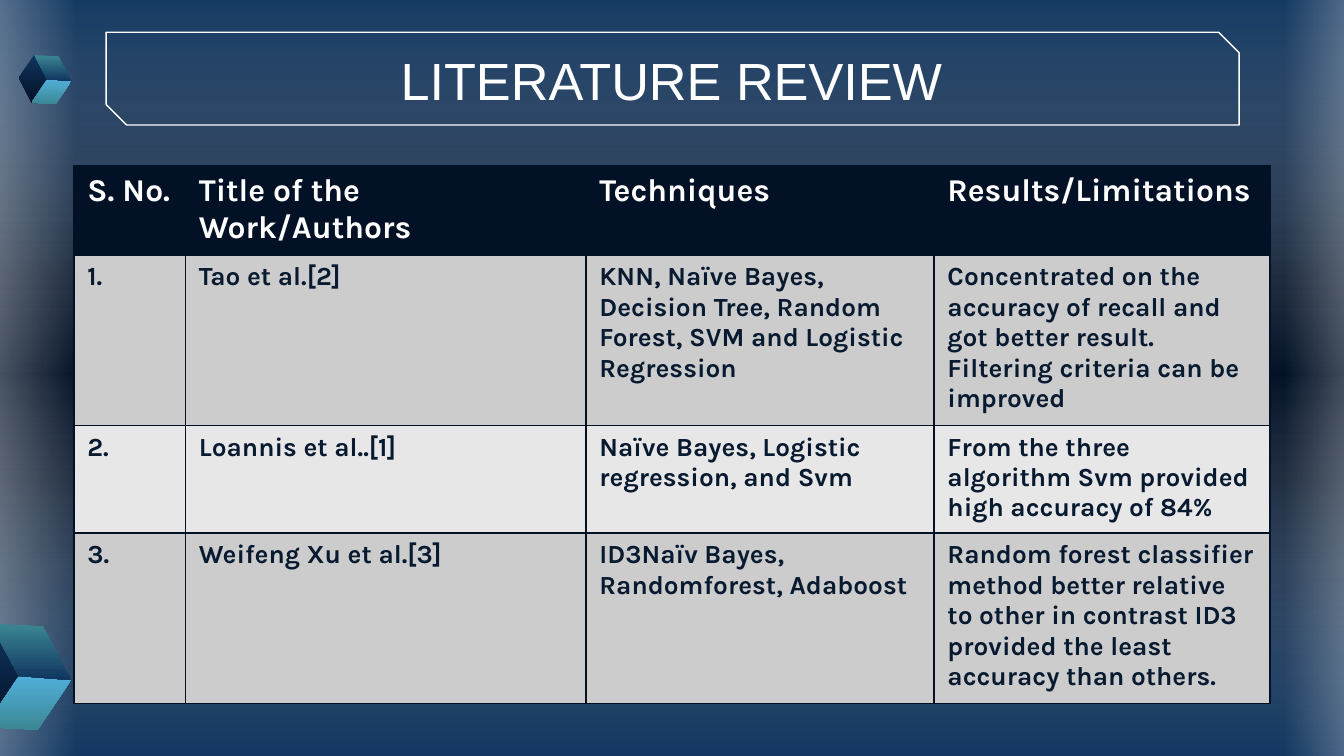
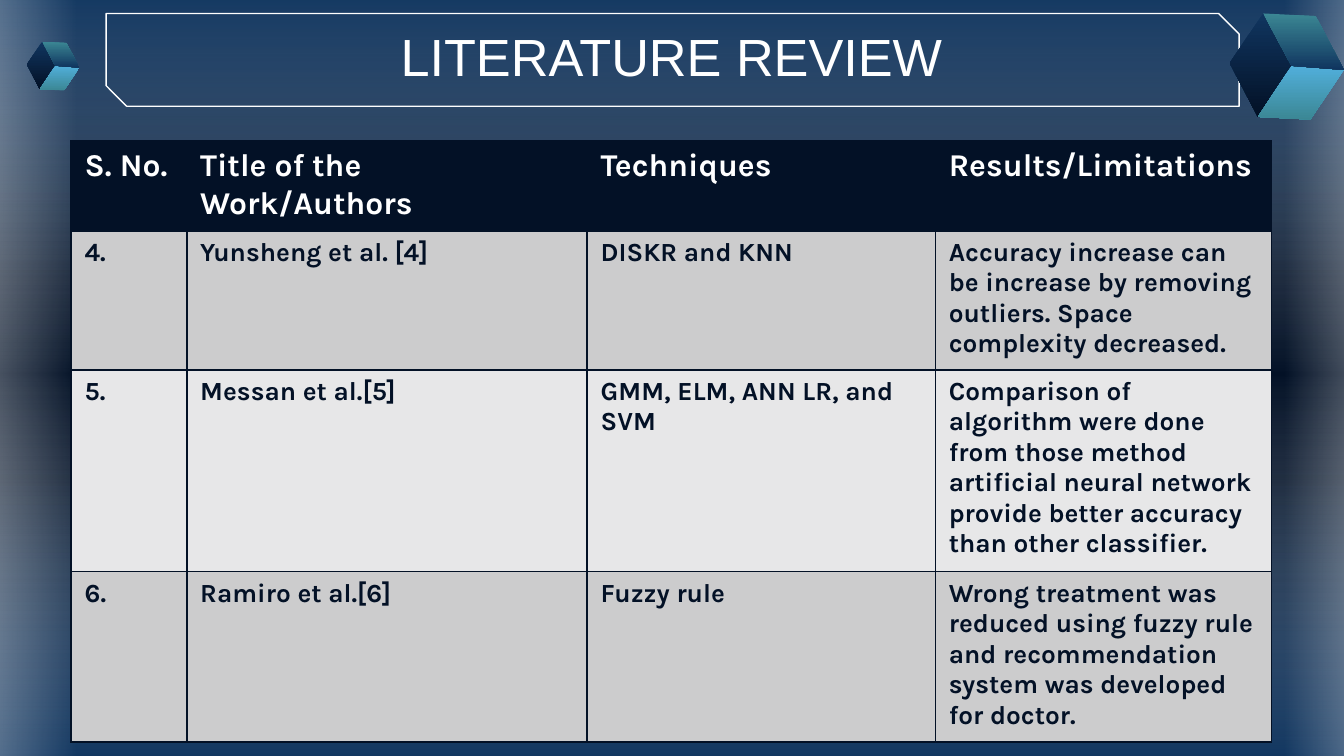
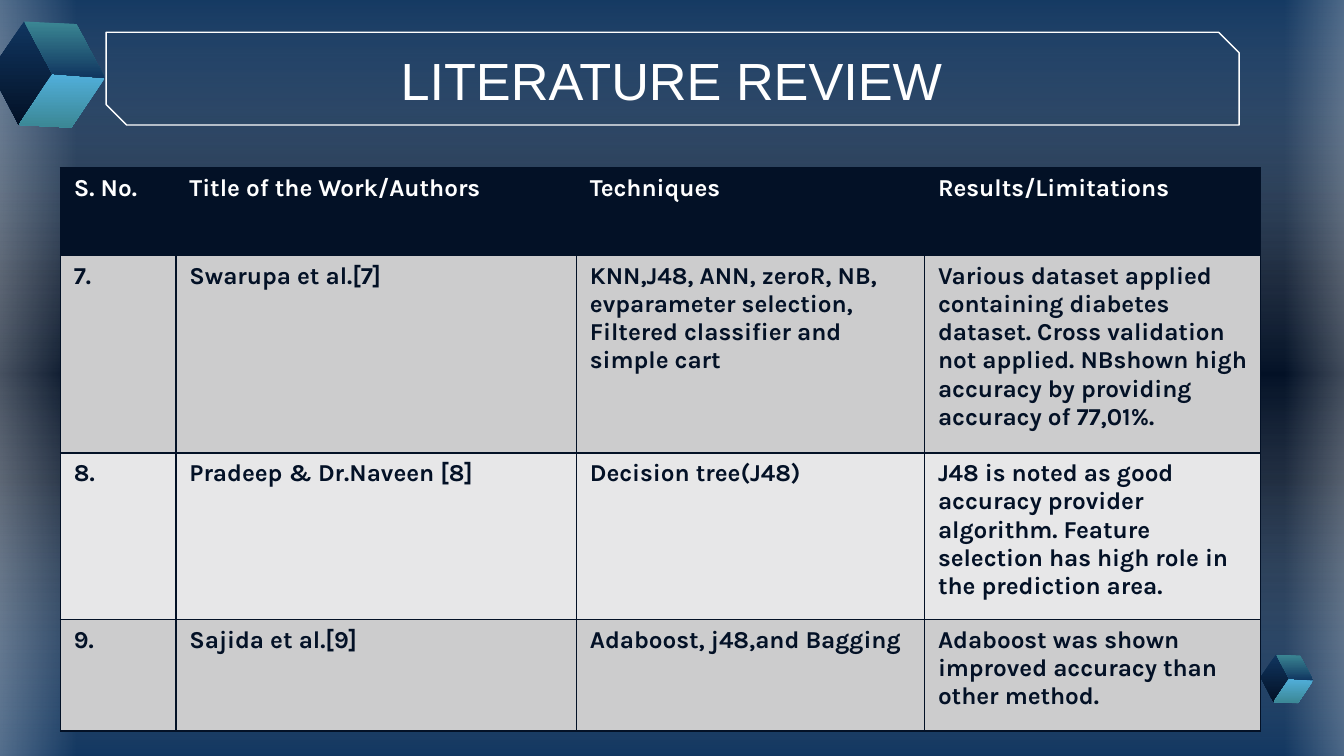
from lxml.etree import SubElement
from pptx import Presentation
from pptx.dml.color import RGBColor
from pptx.enum.shapes import MSO_SHAPE
from pptx.enum.text import MSO_ANCHOR, PP_ALIGN
from pptx.oxml import parse_xml
from pptx.oxml.ns import nsdecls, qn
from pptx.util import Inches, Pt

NAVY, BLUE, SKY, TEAL, WHITE = "031126", "10355F", "51AFDB", "3B8794", "FFFFFF"
ROW_FILLS = [NAVY, "CCCCCD", "E7E7E8", "CCCCCD"]
HEADER = ["S. No.", "Title of the Work/Authors", "Techniques", "Results/Limitations"]

# Translucent glows: left, top, width, height, rotation, (position, colour, opacity)
EDGE_GLOW = [(0, WHITE, 47), (100, WHITE, 0)]
GLOWS = [
    (2.2, -2.33, 5.81, 10.21, 270, [(0, BLUE, 59), (50, WHITE, 0), (100, BLUE, 59)]),
    (-0.41, -0.09, 0.98, 5.8, 180, EDGE_GLOW),
    (9.56, -0.13, 0.85, 5.8, 0, EDGE_GLOW),
]

# Cube faces at full size: top colour, bottom colour, corners
CUBE_FACES = [
    (BLUE, NAVY, [(0.25, 0), (0, 0.37), (0.21, 0.77), (0.46, 0.39)]),
    (SKY, TEAL, [(0.46, 0.39), (0.85, 0.42), (0.6, 0.79), (0.21, 0.77)]),
    (TEAL, BLUE, [(0.25, 0), (0.64, 0.02), (0.85, 0.42), (0.46, 0.39)]),
]
LARGE, SMALL = 1, 0.46

PAGES = [
    {
        "frame_top": 0.24, "title_top": 0.28, "table": (0.55, 1.23), "number_width": 0.83,
        "heights": [0.49, 0.69, 0.53, 0.84], "sizes": (17, 14), "ink": "081A30",
        "cubes": [(-0.32, 4.64, LARGE), (0.14, 0.41, SMALL)],
        "rows": [
            ["1.", "Tao et al.[2]",
             "KNN, Naïve Bayes, Decision Tree, Random Forest, SVM and Logistic Regression",
             "Concentrated on the accuracy of recall and got better result. "
             "Filtering criteria can be improved"],
            ["2.", "Loannis et al..[1]", "Naïve Bayes, Logistic regression, and Svm",
             "From the three algorithm Svm provided high accuracy of 84%"],
            ["3.", "Weifeng Xu et al.[3]", "ID3Naïv Bayes, Randomforest, Adaboost",
             "Random forest classifier method better relative to other in contrast ID3 "
             "provided the least accuracy than others."],
        ],
    },
    {
        "frame_top": 0.1, "title_top": 0.1, "table": (0.53, 1.05), "number_width": 0.86,
        "heights": [0.62, 0.96, 1.4, 1.18], "sizes": (17, 14), "ink": NAVY,
        "cubes": [(9.15, 0.1, LARGE), (0.2, 0.31, SMALL)],
        "rows": [
            ["4.", "Yunsheng et al. [4]", "DISKR and KNN",
             "Accuracy increase can be increase by removing outliers. "
             "Space complexity decreased."],
            ["5.", "Messan et al.[5]", "GMM, ELM, ANN LR, and SVM",
             "Comparison of algorithm were done from those method artificial neural "
             "network provide better accuracy than other classifier."],
            ["6.", "Ramiro et al.[6]", "Fuzzy rule",
             "Wrong treatment was reduced using fuzzy rule and recommendation system "
             "was developed for doctor."],
        ],
    },
    {
        "frame_top": 0.24, "title_top": 0.28, "table": (0.45, 1.25), "number_width": 0.86,
        "heights": [0.65, 1.47, 1.24, 0.83], "sizes": (13, 13), "ink": NAVY,
        "cubes": [(-0.07, 0.16, LARGE), (9.38, 4.87, SMALL)],
        "rows": [
            ["7.", "Swarupa et al.[7]",
             "KNN,J48, ANN, zeroR, NB, evparameter selection, Filtered classifier and simple cart",
             "Various dataset applied containing diabetes dataset. Cross validation not "
             "applied. NBshown high accuracy by providing accuracy of 77,01%."],
            ["8.", "Pradeep & Dr.Naveen [8]", "Decision tree(J48)",
             "J48 is noted as good accuracy provider algorithm. Feature selection has "
             "high role in the prediction area."],
            ["9.", "Sajida et al.[9]", "Adaboost, j48,and Bagging",
             "Adaboost was shown improved accuracy than other method."],
        ],
    },
]


def color(value):
    return RGBColor.from_string(value)


def fill_gradient(fill, element, stops, angle):
    """Fill with (position, colour, opacity) stops, all but the angle in percent."""
    fill.background()
    empty = element.find(".//" + qn("a:noFill"))
    gradient = parse_xml(f'<a:gradFill {nsdecls("a")} rotWithShape="1"><a:gsLst/>'
                         f'<a:lin ang="{angle * 60000}" scaled="0"/></a:gradFill>')
    for position, value, opacity in stops:
        stop = SubElement(gradient[0], qn("a:gs"), pos=str(position * 1000))
        tint = SubElement(stop, qn("a:srgbClr"), val=value)
        if opacity < 100:
            SubElement(tint, qn("a:alpha"), val=str(opacity * 1000))
    empty.getparent().replace(empty, gradient)


deck = Presentation()
deck.slide_width, deck.slide_height = Inches(10), Inches(5.625)

for content in PAGES:
    page = deck.slides.add_slide(deck.slide_layouts[6])

    # Background and glows
    fill_gradient(page.background.fill, page.element,
                  [(0, BLUE, 100), (37, NAVY, 100), (63, NAVY, 100), (100, BLUE, 100)], 90)
    for left, top, width, height, rotation, stops in GLOWS:
        glow = page.shapes.add_shape(MSO_SHAPE.RECTANGLE, Inches(left), Inches(top),
                                     Inches(width), Inches(height))
        glow.rotation = rotation
        glow.shadow.inherit = False
        fill_gradient(glow.fill, glow.element, stops, 180)
        glow.line.fill.background()

    # Title frame and title
    frame = page.shapes.add_shape(MSO_SHAPE.SNIP_2_DIAG_RECTANGLE, Inches(0.79),
                                  Inches(content["frame_top"]), Inches(8.43), Inches(0.69))
    frame.adjustments[0], frame.adjustments[1] = 0, 0.221
    frame.shadow.inherit = False
    frame.fill.background()
    frame.line.color.rgb = color(WHITE)
    frame.line.width = Pt(0.75)

    box = page.shapes.add_textbox(Inches(0.78), Inches(content["title_top"]),
                                  Inches(8.43), Inches(0.63))
    text = box.text_frame
    text.word_wrap = True
    text.vertical_anchor = MSO_ANCHOR.MIDDLE
    text.margin_left = text.margin_right = text.margin_top = text.margin_bottom = Inches(0.1)
    text.text = "LITERATURE REVIEW"
    para = text.paragraphs[0]
    para.alignment = PP_ALIGN.CENTER
    span = para.runs[0]
    span.font.name, span.font.size = "Arial", Pt(28)
    span.font.color.rgb = color(WHITE)

    # Review table
    left, top = content["table"]
    widths = [content["number_width"], 2.98, 2.59, 2.5]
    heights = content["heights"]
    table = page.shapes.add_table(4, 4, Inches(left), Inches(top),
                                  Inches(sum(widths)), Inches(sum(heights))).table
    for column, width in zip(table.columns, widths):
        column.width = Inches(width)
    header_size, body_size = content["sizes"]
    for i, words in enumerate([HEADER] + content["rows"]):
        table.rows[i].height = Inches(heights[i])
        for j, word in enumerate(words):
            cell = table.cell(i, j)
            cell.text = word
            span = cell.text_frame.paragraphs[0].runs[0]
            span.font.name, span.font.bold = "Karla", True
            span.font.size = Pt(body_size if i else header_size)
            span.font.color.rgb = color(content["ink"] if i else WHITE)
            properties = cell._tc.get_or_add_tcPr()
            for side in ("a:lnL", "a:lnR", "a:lnT", "a:lnB"):
                border = SubElement(properties, qn(side), w=str(Pt(1)))
                solid = SubElement(border, qn("a:solidFill"))
                SubElement(solid, qn("a:srgbClr"), val=NAVY)
            cell.fill.solid()
            cell.fill.fore_color.rgb = color(ROW_FILLS[i])

    # Cubes
    for left, top, scale in content["cubes"]:
        cube = page.shapes.add_group_shape()
        for upper, lower, corners in CUBE_FACES:
            points = [(Inches(left + x * scale), Inches(top + y * scale)) for x, y in corners]
            outline = cube.shapes.build_freeform(*points[0])
            outline.add_line_segments(points[1:], close=True)
            face = outline.convert_to_shape()
            face.shadow.inherit = False
            fill_gradient(face.fill, face.element, [(0, upper, 100), (100, lower, 100)], 90)
            face.line.fill.background()

deck.save("out.pptx")
